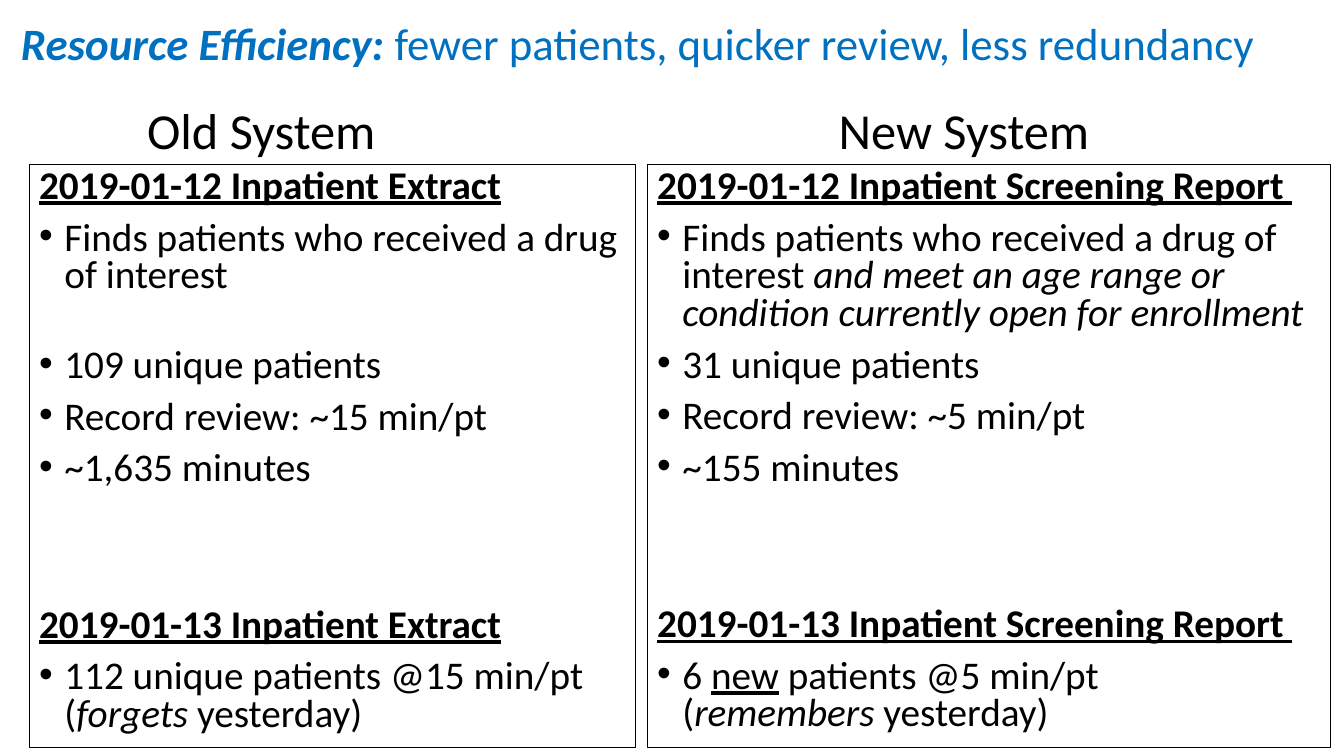
from pptx import Presentation
from pptx.dml.color import RGBColor
from pptx.enum import shapes, text
from pptx.util import Inches, Pt
from lxml import etree

COLORS = {"title": "0070C0", "text": "000000", "box": "FFFFFF"}
FONT = "Calibri"
BODY_SIZE = 28
LINE_SPACING = 0.8
GAP = 10
LINE_HEIGHT = 27.3
BLOCK_GAP = 3 * GAP + 2 * LINE_HEIGHT
INDENT = 0.25

# A run is (text, style letters): b bold, i italic, u underlined.
TITLE = [("Resource Efficiency: ", "bi"),
         ("fewer patients, quicker review, less redundancy", "")]

# A paragraph is (is bullet, space before in points, runs).
COLUMNS = [
    {"name": "Old System", "name_left": 1.36, "name_width": 2.49,
     "left": 0.29, "width": 6.01,
     "paragraphs": [
         (False, 0, [("2019-01-12 Inpatient Extract", "bu")]),
         (True, GAP, [("Finds patients who received a drug of interest", "")]),
         (True, GAP + LINE_HEIGHT, [("109 unique patients", "")]),
         (True, GAP, [("Record review: ~15 min/pt", "")]),
         (True, GAP, [("~1,635 minutes", "")]),
         (False, BLOCK_GAP, [("2019-01-13 Inpatient Extract", "bu")]),
         (True, GAP, [("112 unique patients @15 min/pt\n(", ""),
                      ("forgets", "i"), (" yesterday)", "")]),
     ]},
    {"name": "New System", "name_left": 8.22, "name_width": 2.71,
     "left": 6.42, "width": 6.78,
     "paragraphs": [
         (False, 0, [("2019-01-12 Inpatient Screening Report ", "bu")]),
         (True, GAP, [("Finds patients who received a drug of interest ", ""),
                      ("and meet an age range or condition currently "
                       "open for enrollment", "i")]),
         (True, GAP, [("31 unique patients", "")]),
         (True, GAP, [("Record review: ~5 min/pt", "")]),
         (True, GAP, [("~155 minutes", "")]),
         (False, BLOCK_GAP, [("2019-01-13 Inpatient Screening Report ", "bu")]),
         (True, GAP, [("6 ", ""), ("new", "u"), (" patients @5 min/pt\n(", ""),
                      ("remembers", "i"), (" yesterday)", "")]),
     ]},
]


def color(name):
    return RGBColor.from_string(COLORS[name])


def add_runs(paragraph, runs, size, color_name):
    paragraph.alignment = text.PP_ALIGN.LEFT
    for content, style in runs:
        for index, line in enumerate(content.split("\n")):
            if index:
                paragraph.add_line_break()
            run = paragraph.add_run()
            run.text = line
            run.font.name = FONT
            run.font.size = Pt(size)
            run.font.color.rgb = color(color_name)
            run.font.bold = "b" in style
            run.font.italic = "i" in style
            run.font.underline = "u" in style


def add_bullet(paragraph):
    properties = paragraph._p.get_or_add_pPr()
    properties.set("marL", str(Inches(INDENT)))
    properties.set("indent", str(-Inches(INDENT)))
    namespace = "{http://schemas.openxmlformats.org/drawingml/2006/main}"
    etree.SubElement(properties, namespace + "buFont", typeface="Arial")
    etree.SubElement(properties, namespace + "buChar", char="•")


def add_label(slide, box, runs, size, color_name, wrap):
    label = slide.shapes.add_textbox(*map(Inches, box))
    label.text_frame.word_wrap = wrap
    add_runs(label.text_frame.paragraphs[0], runs, size, color_name)
    return label


def add_column(slide, column):
    box = slide.shapes.add_shape(
        shapes.MSO_SHAPE.RECTANGLE, Inches(column["left"]), Inches(1.63),
        Inches(column["width"]), Inches(5.79))
    box.shadow.inherit = False
    box.fill.background()
    box.line.color.rgb = color("text")
    box.line.width = Pt(0.75)
    frame = box.text_frame
    frame.word_wrap = True
    frame.vertical_anchor = text.MSO_ANCHOR.TOP
    for index, (is_bullet, space, runs) in enumerate(column["paragraphs"]):
        paragraph = frame.add_paragraph() if index else frame.paragraphs[0]
        paragraph.line_spacing = LINE_SPACING
        paragraph.space_before = Pt(space)
        if is_bullet:
            add_bullet(paragraph)
        add_runs(paragraph, runs, BODY_SIZE, "text")


def main():
    presentation = Presentation()
    presentation.slide_width = Inches(13.33)
    presentation.slide_height = Inches(7.5)
    slide = presentation.slides.add_slide(presentation.slide_layouts[6])
    title = add_label(slide, (0.11, 0.1, 12.83, 0.72), TITLE, 32, "title", True)
    title.text_frame.vertical_anchor = text.MSO_ANCHOR.MIDDLE
    title.text_frame.paragraphs[0].line_spacing = 0.9
    for column in COLUMNS:
        add_column(slide, column)
        add_label(slide, (column["name_left"], 0.93, column["name_width"], 0.71),
                  [(column["name"], "")], 36, "text", False)
    presentation.save("out.pptx")


if __name__ == "__main__":
    main()
